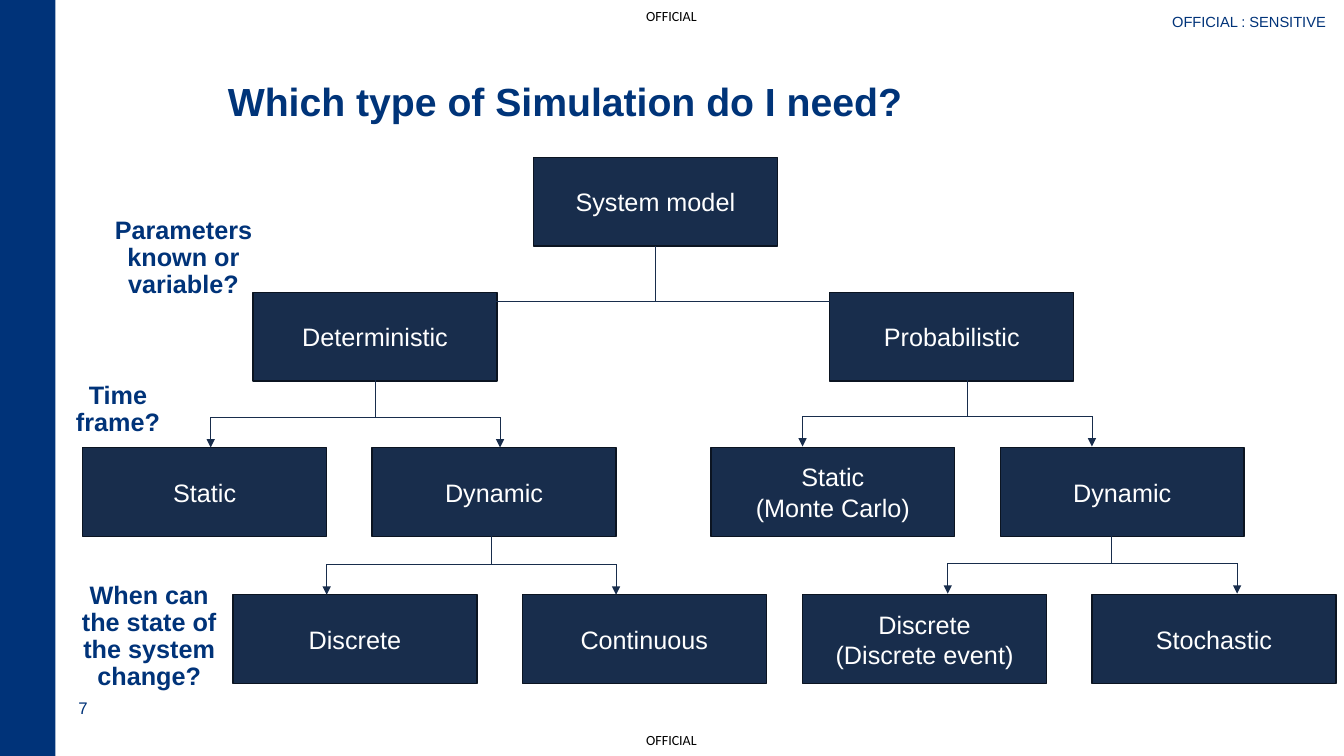
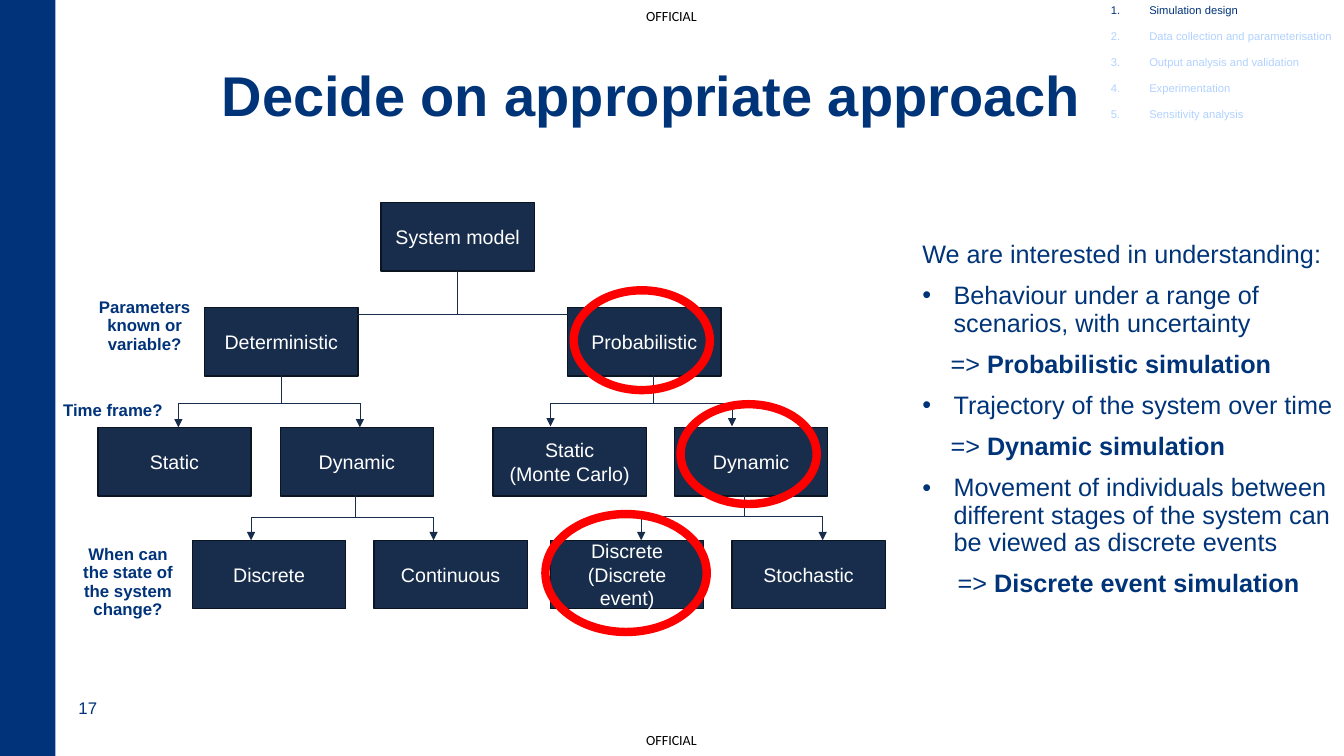
import dataclasses

import lxml.etree
import pptx
import pptx.dml.color
import pptx.enum.shapes
import pptx.enum.text
import pptx.oxml.ns
import pptx.util

EMU_PER_PX = 9144  # 100 px to the inch
SLIDE_WIDTH, SLIDE_HEIGHT = 1333, 750
ALIGN = pptx.enum.text.PP_ALIGN
ANCHOR = pptx.enum.text.MSO_ANCHOR
SHAPE = pptx.enum.shapes.MSO_SHAPE


@dataclasses.dataclass(frozen=True)
class Theme:
    font: str = "Arial"
    marking_font: str = "Calibri"
    band: str = "003379"
    heading: str = "003479"
    node: str = "182D4C"
    node_edge: str = "0B1421"
    node_text: str = "FFFFFF"
    marking: str = "000000"
    faded: str = "B1D2FF"
    highlight: str = "FF0000"
    body_size: float = 18
    number_size: float = 12
    sensitivity_size: float = 10.5
    marking_size: float = 10
    agenda_size: float = 8
    leading: float = 0.9
    space_before: float = 10


THEME = Theme()


@dataclasses.dataclass(frozen=True)
class Branch:
    """Two sibling nodes and the lines that reach them from their parent."""
    names: tuple
    left: int
    top: int
    stem: int
    bus: int
    first_arrow: int
    step: int = 287
    arrow_step: int = 287
    rise: int = 37
    drop: int = 30


NODE_WIDTH, NODE_HEIGHT = 242, 88
ROOT_LEFT, ROOT_TOP = 529, 156
BRANCHES = (
    Branch(("Deterministic", "Probabilistic"), 251, 290, 650, 299, 383,
           step=572, arrow_step=550, rise=55, drop=22),
    Branch(("Static", "Dynamic"), 82, 444, 372, 414, 209),
    Branch(("Static\n(Monte Carlo)", "Dynamic"), 705, 444, 959, 413, 796),
    Branch(("Discrete", "Continuous"), 231, 590, 487, 560, 324),
    Branch(("Discrete\n(Discrete event)", "Stochastic"), 796, 590, 1102, 559, 940),
)
QUESTIONS = (
    "Parameters known or variable?",
    "Time frame?",
    "When can the state of the system change?",
)
AGENDA = (
    "Simulation design",
    "Data collection and parameterisation",
    "Output analysis and validation",
    "Experimentation",
    "Sensitivity analysis",
)
FINDINGS = (
    ("Behaviour under a range of scenarios, with uncertainty",
     "Probabilistic simulation", 28),
    ("Trajectory of the system over time", "Dynamic simulation", 28),
    ("Movement of individuals between different stages of the system can be "
     "viewed as discrete events", "Discrete event simulation", 35),
)


def px(length):
    return pptx.util.Emu(round(length) * EMU_PER_PX)


def rgb(color):
    return pptx.dml.color.RGBColor.from_string(color)


def add_xml(parent, tag, **attributes):
    return lxml.etree.SubElement(parent, pptx.oxml.ns.qn(tag), attributes)


def write(frame, text, *, strong="", size=THEME.body_size, color=THEME.band,
          font=THEME.font, bold=False, align=ALIGN.LEFT, leading=None,
          before=None, indent=0, bullet=None, numbered=False):
    """Append one paragraph per line of text; strong is a bold ending."""
    for line in text.split("\n"):
        paragraph = frame.paragraphs[-1]
        if paragraph.runs:
            paragraph = frame.add_paragraph()
        paragraph.alignment = align
        if leading is not None:
            paragraph.line_spacing = leading
        if before is not None:
            paragraph.space_before = pptx.util.Pt(before)
        properties = paragraph._p.get_or_add_pPr()
        if indent:
            properties.set("marL", str(px(indent)))
        if bullet or numbered:
            properties.set("indent", str(-px(indent)))
            add_xml(properties, "a:buFont", typeface=font)
        if bullet:
            add_xml(properties, "a:buChar", char=bullet)
        elif numbered:
            add_xml(properties, "a:buAutoNum", type="arabicPeriod")
        for words, is_bold in ((line, bold), (strong, True)):
            if words:
                run = paragraph.add_run()
                run.text = words
                run.font.name = font
                run.font.size = pptx.util.Pt(size)
                run.font.bold = is_bold
                run.font.color.rgb = rgb(color)


class Deck:
    def __init__(self, theme):
        self.theme = theme
        self.presentation = pptx.Presentation()
        self.presentation.slide_width = px(SLIDE_WIDTH)
        self.presentation.slide_height = px(SLIDE_HEIGHT)
        self.slide = None

    def start_slide(self, number):
        """Add a slide with the band, markings and number all slides share."""
        theme = self.theme
        layout = self.presentation.slide_layouts[5]
        self.slide = self.presentation.slides.add_slide(layout)
        for top in (7, 726):
            marking = self.text_box(641, top, 53, 17, inset=0)
            write(marking, "OFFICIAL", size=theme.marking_size,
                  font=theme.marking_font, color=theme.marking)
        self.shape(SHAPE.RECTANGLE, 0, 0, 55, SLIDE_HEIGHT, fill=theme.band)
        write(self.text_box(68, 687, 187, 30), str(number), size=theme.number_size)

    def title(self, text, left, top, width, height, size):
        holder = self.slide.shapes.title
        holder.left, holder.top = px(left), px(top)
        holder.width, holder.height = px(width), px(height)
        frame = holder.text_frame
        frame.word_wrap = True
        frame.auto_size = pptx.enum.text.MSO_AUTO_SIZE.NONE
        frame.vertical_anchor = ANCHOR.BOTTOM
        write(frame, text, size=size, color=self.theme.heading, bold=True,
              leading=self.theme.leading, before=0)

    def text_box(self, left, top, width, height, inset=None):
        box = self.slide.shapes.add_textbox(px(left), px(top), px(width), px(height))
        frame = box.text_frame
        frame.word_wrap = True
        if inset is not None:
            frame.margin_left = frame.margin_right = px(inset)
            frame.margin_top = frame.margin_bottom = px(inset)
        return frame

    def shape(self, kind, left, top, width, height, fill=None, edge=None, weight=1):
        shape = self.slide.shapes.add_shape(
            kind, px(left), px(top), px(width), px(height))
        shape.shadow.inherit = False
        if fill:
            shape.fill.solid()
            shape.fill.fore_color.rgb = rgb(fill)
        else:
            shape.fill.background()
        if edge:
            shape.line.color.rgb = rgb(edge)
            shape.line.width = pptx.util.Pt(weight)
        else:
            shape.line.fill.background()
        return shape

    def node(self, text, left, top, width, height, size):
        box = self.shape(SHAPE.RECTANGLE, left, top, width, height,
                         fill=self.theme.node, edge=self.theme.node_edge)
        box.text_frame.word_wrap = True
        box.text_frame.vertical_anchor = ANCHOR.MIDDLE
        write(box.text_frame, text, size=size, color=self.theme.node_text,
              align=ALIGN.CENTER)

    def line(self, start, end, arrow=False):
        connector = self.slide.shapes.add_connector(
            pptx.enum.shapes.MSO_CONNECTOR.STRAIGHT, *map(px, start + end))
        connector.line.color.rgb = rgb(self.theme.node)
        connector.line.width = pptx.util.Pt(0.5)
        if arrow:
            add_xml(connector.line._get_or_add_ln(), "a:tailEnd", type="triangle")
        add_xml(connector._element.spPr, "a:effectLst")

    def tree(self, left, top, width, height, size):
        """Draw the decision tree from its root node's place and size."""
        def place(x, y):
            return (left + (x - ROOT_LEFT) * width / NODE_WIDTH,
                    top + (y - ROOT_TOP) * height / NODE_HEIGHT)

        self.node("System model", left, top, width, height, size)
        for branch in BRANCHES:
            for index, name in enumerate(branch.names):
                corner = place(branch.left + index * branch.step, branch.top)
                self.node(name, *corner, width, height, size)
        for branch in BRANCHES:
            arrows = (branch.first_arrow, branch.first_arrow + branch.arrow_step)
            self.line(place(branch.stem, branch.bus - branch.rise),
                      place(branch.stem, branch.bus))
            self.line(*(place(x, branch.bus) for x in arrows))
            for x in arrows:
                self.line(place(x, branch.bus), place(x, branch.bus + branch.drop),
                          arrow=True)

    def questions(self, places, size):
        for text, place in zip(QUESTIONS, places):
            write(self.text_box(*place), text, size=size, bold=True,
                  align=ALIGN.CENTER, leading=self.theme.leading,
                  before=self.theme.space_before)

    def agenda(self, current):
        frame = self.text_box(1092, 0, 241, 212)
        for index, step in enumerate(AGENDA):
            write(frame, step, size=self.theme.agenda_size, indent=38, numbered=True,
                  color=self.theme.band if index == current else self.theme.faded,
                  leading=self.theme.leading, before=self.theme.space_before)

    def findings(self):
        frame = self.text_box(905, 235, 429, 406)
        style = dict(color=self.theme.heading, leading=self.theme.leading,
                     before=self.theme.space_before)
        write(frame, "We are interested in understanding:", **style)
        for interest, approach, indent in FINDINGS:
            write(frame, interest, bullet="•", indent=31, **style)
            write(frame, "=> ", strong=approach, indent=indent, **style)

    def ring(self, left, top, width, height):
        self.shape(SHAPE.OVAL, left, top, width, height,
                   edge=self.theme.highlight, weight=6)


def main():
    deck = Deck(THEME)

    deck.start_slide(7)
    deck.title("Which type of Simulation do I need?", 216, 41, 1117, 88, size=28)
    write(deck.text_box(1097, 8, 228, 24), "OFFICIAL : SENSITIVE",
          size=THEME.sensitivity_size, align=ALIGN.RIGHT)
    deck.tree(ROOT_LEFT, ROOT_TOP, NODE_WIDTH, NODE_HEIGHT, size=18)
    deck.questions(((99, 211, 166, 92), (34, 375, 166, 65), (65, 573, 166, 119)),
                   size=18)

    deck.start_slide(17)
    deck.title("Decide on appropriate approach", 210, 45, 913, 88, size=40)
    deck.agenda(current=0)
    deck.findings()
    deck.tree(378, 201, 152, 68, size=14)
    deck.questions(((87, 292, 113, 65), (49, 394, 126, 28), (64, 537, 126, 83)),
                   size=12)
    for place in ((569, 288, 135, 99), (675, 401, 135, 99), (541, 510, 160, 117)):
        deck.ring(*place)

    deck.presentation.save("out.pptx")


if __name__ == "__main__":
    main()
